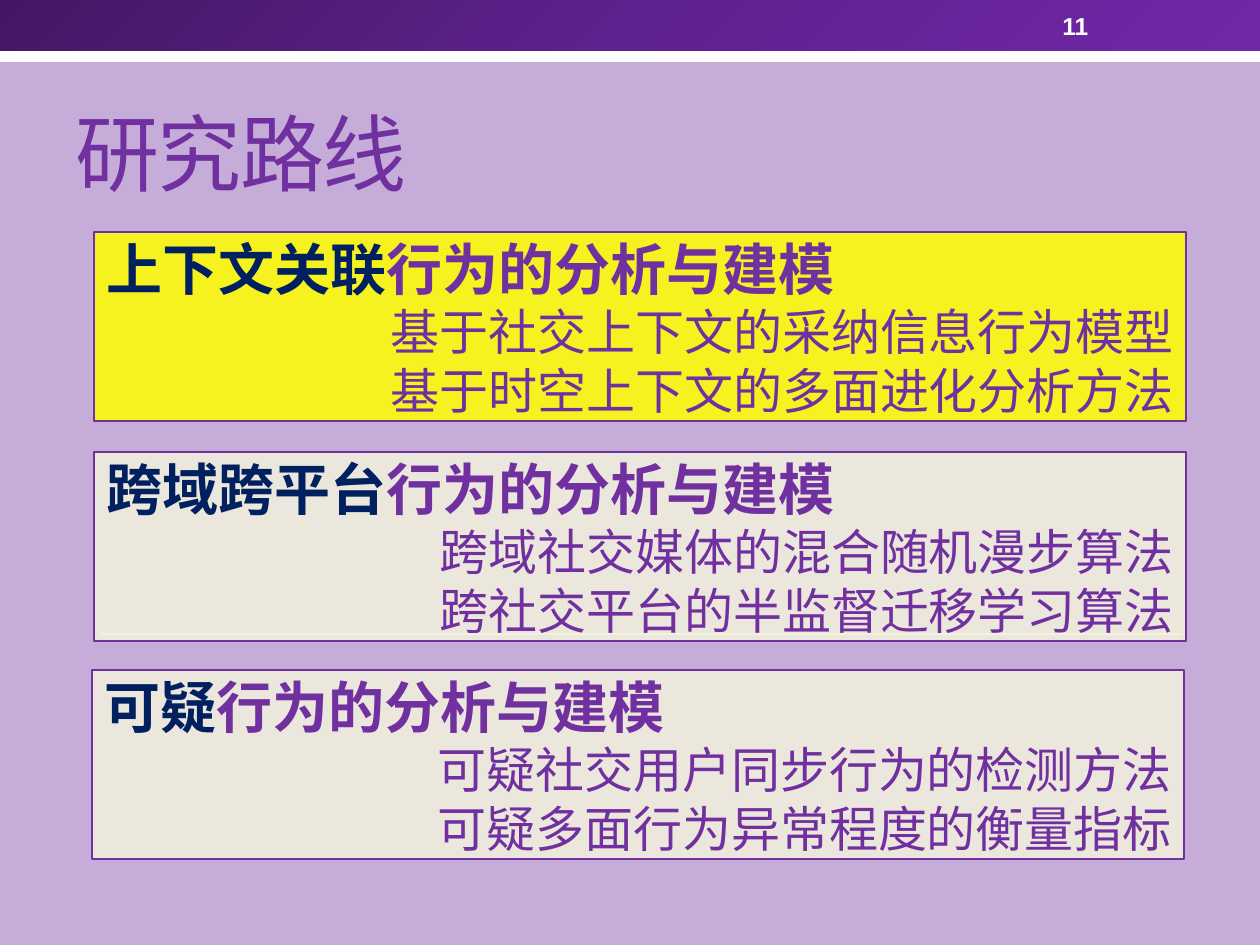
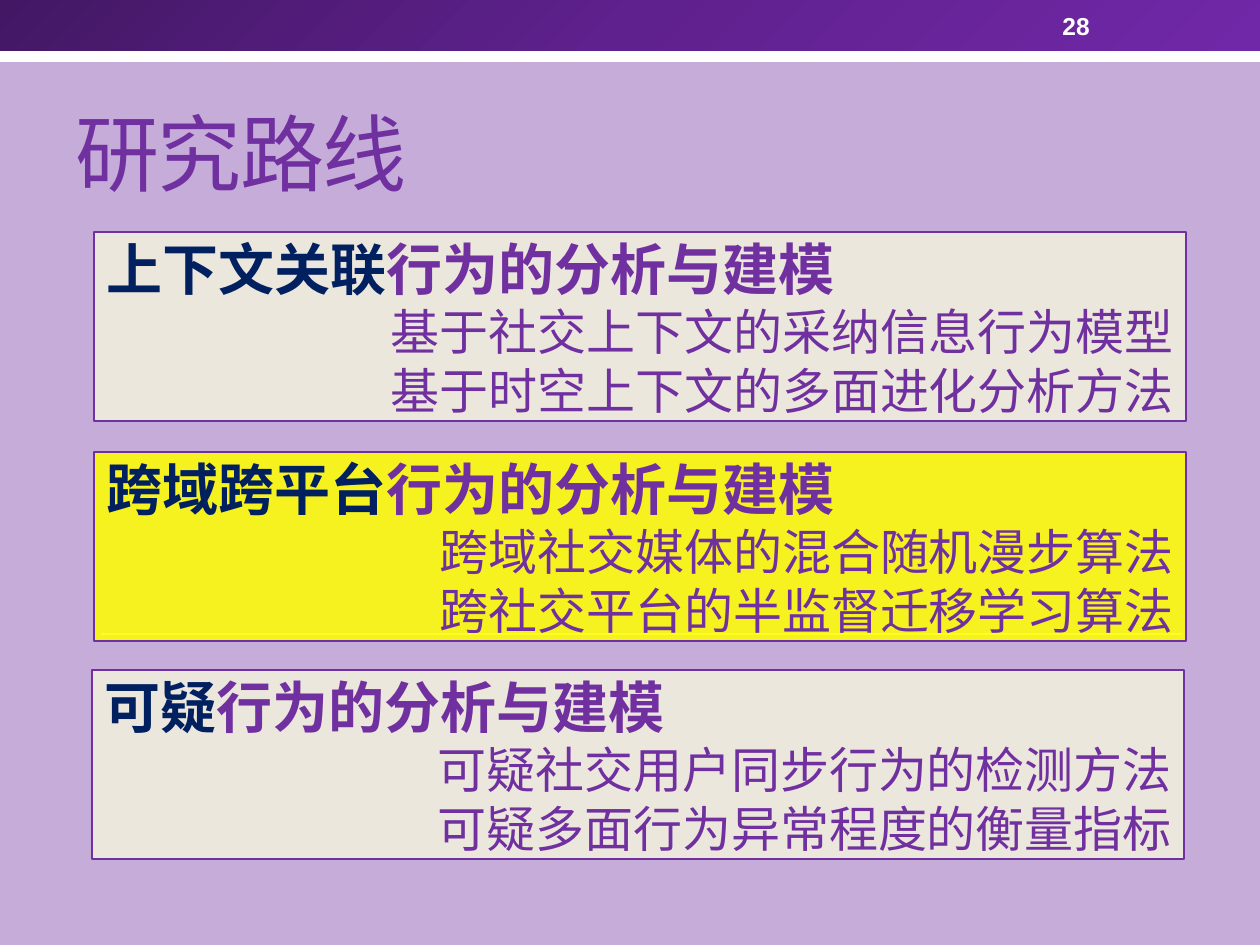
import copy

import pptx
import pptx.dml.color
import pptx.enum.shapes
import pptx.enum.text
import pptx.oxml
import pptx.util

EMU_PER_PX = 914400 / 126
FONT = "Arial"
PURPLE, NAVY, WHITE = "7030A0", "002060", "FFFFFF"
LILAC, CREAM, YELLOW, RULE = "C6ACD9", "F3F2DE", "FFFF00", "F3F2DC"
BAND_STOPS = [(0, "431764"), (0.5, "5F218E"), (1, "7128A8")]
SHARED_HEADING = "行为的分析与建模"
TOPICS = [
    ((94, 232, 1092, 189), "上下文关联",
     ["基于社交上下文的采纳信息行为模型", "基于时空上下文的多面进化分析方法"]),
    ((94, 452, 1092, 189), "跨域跨平台",
     ["跨域社交媒体的混合随机漫步算法", "跨社交平台的半监督迁移学习算法"]),
    ((92, 670, 1092, 189), "可疑",
     ["可疑社交用户同步行为的检测方法", "可疑多面行为异常程度的衡量指标"]),
]
Align = pptx.enum.text.PP_ALIGN
Anchor = pptx.enum.text.MSO_ANCHOR


def px(*lengths):
    return [pptx.util.Emu(round(length * EMU_PER_PX)) for length in lengths]


def colour(hex_text):
    return pptx.dml.color.RGBColor.from_string(hex_text)


def style(span, size, hex_text, bold=False):
    span.font.name = FONT
    span.font.size = pptx.util.Pt(size)
    span.font.bold = bold
    span.font.color.rgb = colour(hex_text)


def add_rectangle(page, box, fill):
    shape = page.shapes.add_shape(pptx.enum.shapes.MSO_SHAPE.RECTANGLE, *px(*box))
    shape.shadow.inherit = False
    shape.fill.solid()
    shape.fill.fore_color.rgb = colour(fill)
    shape.line.fill.background()
    return shape


def set_opacity(shape, percent):
    rgb = shape.fill._xPr.find(".//" + pptx.oxml.ns.qn("a:srgbClr"))
    pptx.oxml.xmlchemy.OxmlElement("a:alpha")
    alpha = rgb.makeelement(pptx.oxml.ns.qn("a:alpha"), {"val": str(percent * 1000)})
    rgb.append(alpha)


def fill_gradient(shape, stops):
    shape.fill.gradient()
    shape.fill.gradient_angle = 315
    stop_list = shape._element.spPr.find(".//" + pptx.oxml.ns.qn("a:gsLst"))
    while len(stop_list) < len(stops):
        stop_list.append(copy.deepcopy(stop_list[-1]))
    for stop, (position, hex_text) in zip(shape.fill.gradient_stops, stops):
        stop.position = position
        stop.color.rgb = colour(hex_text)


def add_header(page, number):
    add_rectangle(page, (0, 30, 1260, 32), WHITE)
    band = add_rectangle(page, (0, 0, 1260, 51), WHITE)
    fill_gradient(band, BAND_STOPS)
    label = page.shapes.add_textbox(*px(1050, 3, 147, 45))
    frame = label.text_frame
    frame.word_wrap = True
    frame.vertical_anchor = Anchor.MIDDLE
    frame.text = str(number)
    style(frame.paragraphs[0].runs[0], 14, WHITE, bold=True)


def add_rule(page):
    rule = page.shapes.add_connector(
        pptx.enum.shapes.MSO_CONNECTOR.STRAIGHT, *px(101, 634, 1182, 634))
    rule.line.color.rgb = colour(RULE)
    rule.line.width = pptx.util.Pt(1.5)
    properties = rule._element.spPr
    properties.append(properties.makeelement(pptx.oxml.ns.qn("a:effectLst"), {}))


def set_title(page, text):
    title = page.shapes.title
    title.left, title.top, title.width, title.height = px(63, 73, 1134, 136)
    frame = title.text_frame
    frame.auto_size = pptx.enum.text.MSO_AUTO_SIZE.NONE
    frame.vertical_anchor = Anchor.BOTTOM
    frame.text = text
    para = frame.paragraphs[0]
    para.alignment = Align.LEFT
    span = para.runs[0]
    style(span, 48, PURPLE)
    span.font._element.set("spc", "-100")


def add_topic(page, box, subject, methods, fill):
    panel = add_rectangle(page, box, fill)
    set_opacity(panel, 85)
    panel.line.color.rgb = colour(PURPLE)
    panel.line.width = pptx.util.Pt(1.5)
    frame = panel.text_frame
    frame.vertical_anchor = Anchor.MIDDLE
    heading = frame.paragraphs[0]
    heading.alignment = Align.LEFT
    for text, hex_text in ((subject, NAVY), (SHARED_HEADING, PURPLE)):
        span = heading.add_run()
        span.text = text
        style(span, 32, hex_text, bold=True)
    for method in methods:
        para = frame.add_paragraph()
        para.text = method
        para.alignment = Align.RIGHT
        style(para.runs[0], 28, PURPLE)


def add_route_page(deck, number, current):
    """Add a route slide with the topic at index current highlighted."""
    page = deck.slides.add_slide(deck.slide_layouts[5])
    add_header(page, number)
    add_rule(page)
    set_title(page, "研究路线")
    for index, (box, subject, methods) in enumerate(TOPICS):
        add_topic(page, box, subject, methods, YELLOW if index == current else CREAM)


def main():
    deck = pptx.Presentation()
    deck.slide_width, deck.slide_height = px(1260, 945)
    background = deck.slide_master.background.fill
    background.solid()
    background.fore_color.rgb = colour(LILAC)
    add_route_page(deck, 11, current=0)
    add_route_page(deck, 28, current=1)
    deck.save("out.pptx")


if __name__ == "__main__":
    main()
